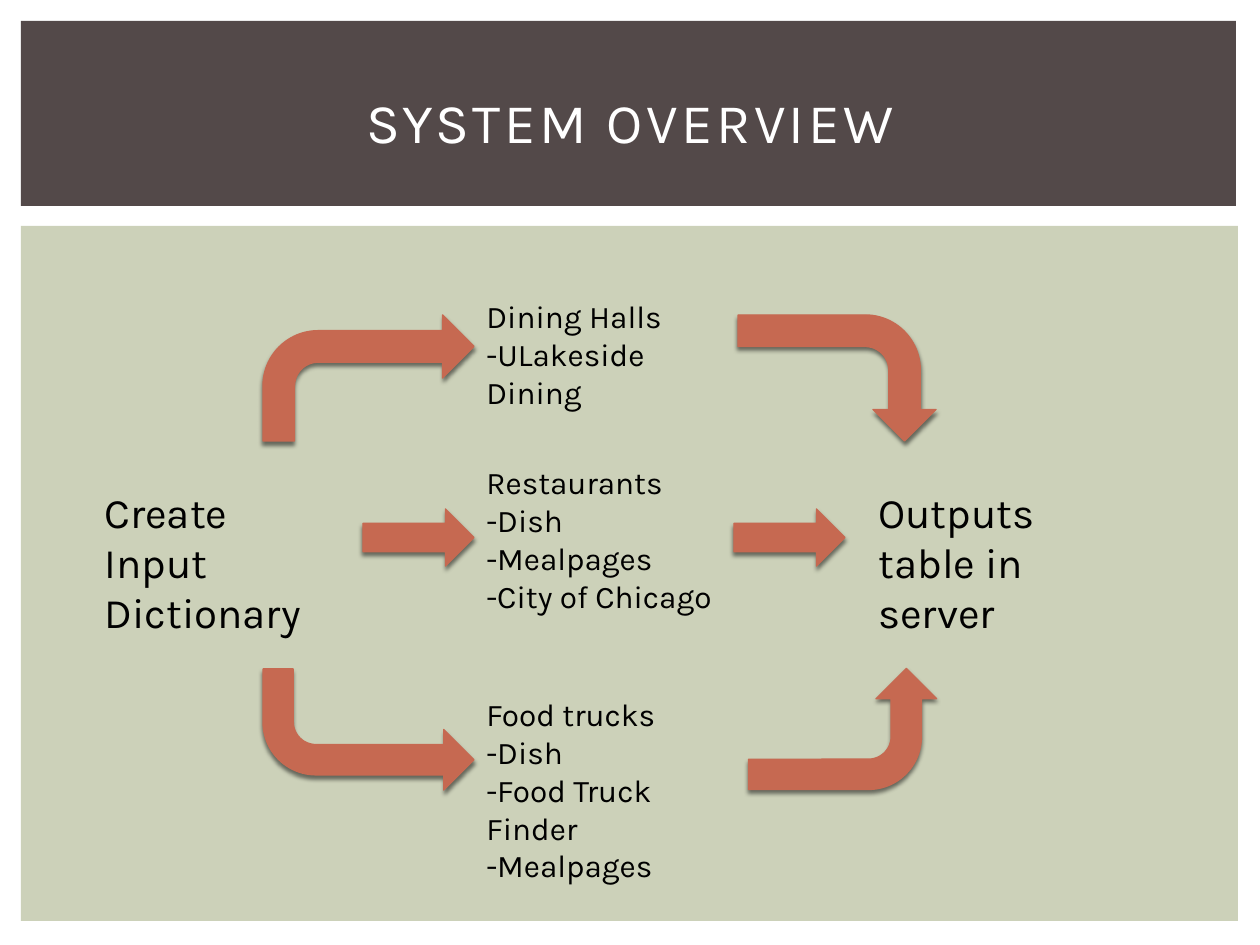
from lxml import etree
from pptx import Presentation
from pptx.dml.color import RGBColor
from pptx.enum.shapes import MSO_SHAPE
from pptx.enum.text import MSO_ANCHOR, PP_ALIGN
from pptx.oxml import parse_xml
from pptx.oxml.ns import nsdecls, qn
from pptx.util import Pt

PX = 914400 / 126
FONT = "Karla"
RUST = "C66951"
SHADOW = (
    f'<a:effectLst {nsdecls("a")}><a:outerShdw blurRad="31750" dist="25400" '
    'dir="5400000" rotWithShape="0"><a:srgbClr val="000000">'
    '<a:alpha val="50000"/></a:srgbClr></a:outerShdw></a:effectLst>'
)


def color(hex_code):
    return RGBColor.from_string(hex_code)


def px(*lengths):
    """Turn pixel lengths into EMU."""
    return [round(length * PX) for length in lengths]


prs = Presentation()
prs.slide_width, prs.slide_height = px(1260, 945)
slide = prs.slides.add_slide(prs.slide_layouts[5])
title = slide.shapes.title

# Background panels, kept behind the title
for box, fill in [((21, 226, 1217, 695), "CCD1B9"), ((21, 21, 1215, 185), "534949")]:
    panel = slide.shapes.add_shape(MSO_SHAPE.RECTANGLE, *px(*box))
    panel.shadow.inherit = False
    panel.fill.solid()
    panel.fill.fore_color.rgb = color(fill)
    panel.line.fill.background()
    title._element.addprevious(panel._element)

title.left, title.top, title.width, title.height = px(53, 49, 1155, 145)
title.text_frame.vertical_anchor = MSO_ANCHOR.MIDDLE
heading = title.text_frame.paragraphs[0]
heading.alignment = PP_ALIGN.CENTER
heading_run = heading.add_run()
heading_run.text = "SYSTEM OVERVIEW"
heading_run.font.size = Pt(32)
heading_run.font.name = FONT
heading_run.font.color.rgb = color("FFFFFF")
heading_run.font._element.set("spc", "200")

# Stages: input, the three data sources, output
stages = [
    ((92, 480, 248, 115), 24, ["Create Input", "Dictionary"]),
    ((474, 291, 256, 90), 18, ["Dining Halls", "-ULakeside Dining"]),
    ((474, 457, 263, 165), 18,
     ["Restaurants", "-Dish", "-Mealpages", "-City of Chicago"]),
    ((474, 689, 275, 165), 18,
     ["Food trucks", "-Dish", "-Food Truck Finder", "-Mealpages"]),
    ((866, 480, 271, 115), 24, ["Outputs table in server"]),
]
for box, size, lines in stages:
    frame = slide.shapes.add_textbox(*px(*box)).text_frame
    frame.word_wrap = True
    for index, line in enumerate(lines):
        paragraph = frame.add_paragraph() if index else frame.paragraphs[0]
        run = paragraph.add_run()
        run.text = line
        run.font.size = Pt(size)
        run.font.name = FONT
        run.font.color.rgb = color("000000")

# Flow arrows: preset, box before rotation, rotation, vertical flip
flows = [
    (MSO_SHAPE.RIGHT_ARROW, (363, 509, 111, 57), 0, False),
    (MSO_SHAPE.RIGHT_ARROW, (734, 509, 111, 57), 0, False),
    (MSO_SHAPE.BENT_ARROW, (263, 315, 211, 126), 0, False),
    (MSO_SHAPE.BENT_ARROW, (263, 669, 211, 121), 0, True),
    (MSO_SHAPE.BENT_ARROW, (774, 279, 126, 198), 90, False),
    (MSO_SHAPE.BENT_ARROW, (782, 635, 121, 188), 270, True),
]
for preset, box, rotation, flipped in flows:
    arrow = slide.shapes.add_shape(preset, *px(*box))
    arrow.rotation = rotation
    arrow.fill.solid()
    arrow.fill.fore_color.rgb = color(RUST)
    arrow.line.color.rgb = color(RUST)
    arrow.line.width = Pt(0.79)
    properties = arrow._element.spPr
    properties.append(parse_xml(SHADOW))
    if flipped:
        properties.find(qn("a:xfrm")).set("flipV", "1")

prs.save("out.pptx")
